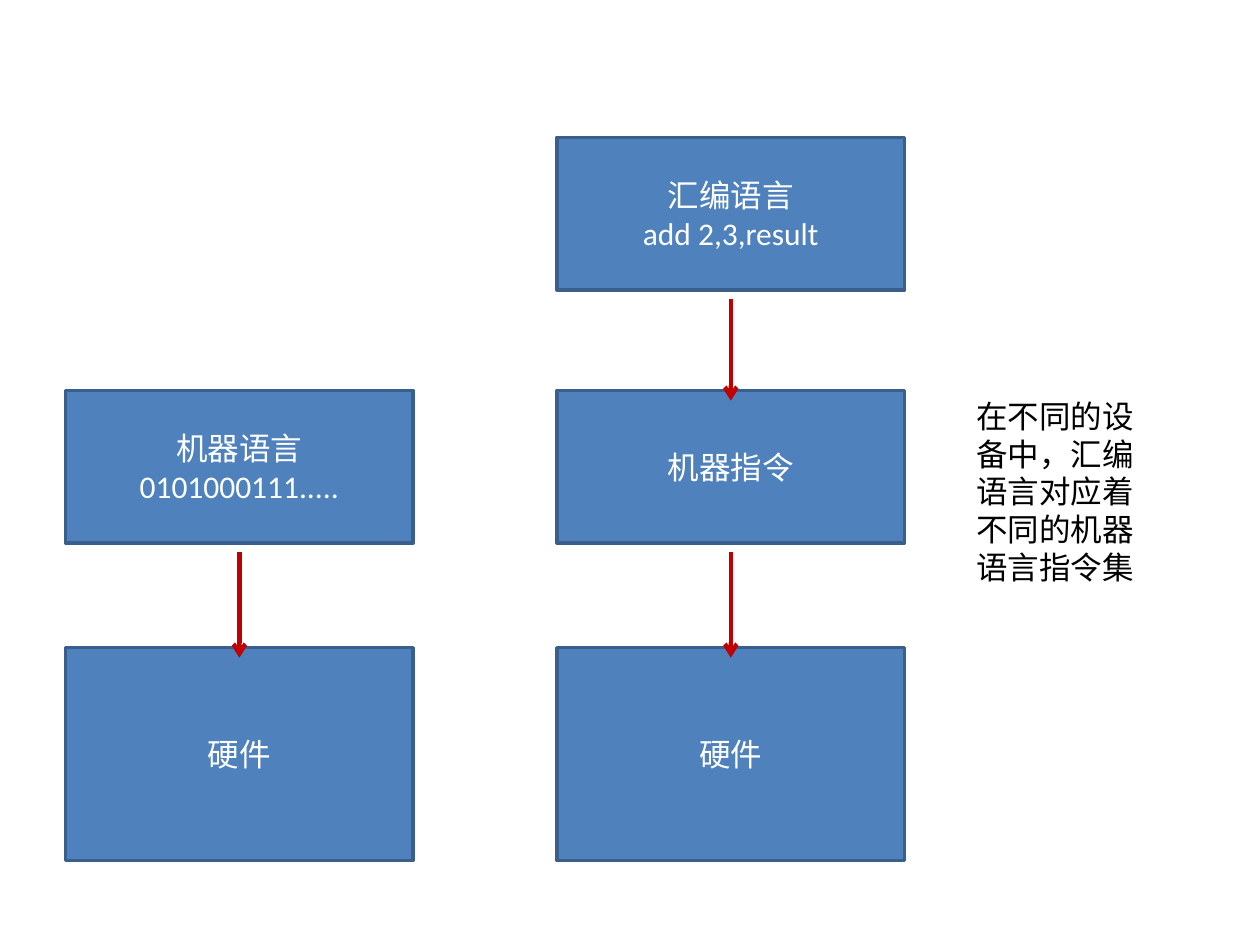
from lxml.etree import SubElement
from pptx import Presentation
from pptx.dml.color import RGBColor
from pptx.enum.shapes import MSO_CONNECTOR, MSO_SHAPE
from pptx.enum.text import MSO_ANCHOR, MSO_AUTO_SIZE, PP_ALIGN
from pptx.oxml.ns import qn
from pptx.util import Inches, Pt

WIDTH, HEIGHT = 10, 7.5

# Column left edges and row (top, height) pairs, in inches
MACHINE_COLUMN, ASSEMBLY_COLUMN, NOTE_COLUMN = 0.52, 4.42, 7.65
TOP_ROW, MIDDLE_ROW, HARDWARE_ROW = (1.09, 1.21), (3.1, 1.21), (5.14, 1.69)
BOX_WIDTH = 2.76


def color(hex_string):
    return RGBColor.from_string(hex_string)


class LayerDiagram:
    font_name, font_size = "Calibri", Pt(18)
    box_fill, box_line, box_text = "4F81BD", "3A5F8C", "FFFFFF"
    arrow_color, note_color = "C00000", "000000"

    def __init__(self, slide):
        self.slide = slide

    def set_text(self, frame, lines, text_color, alignment):
        frame.word_wrap = True
        frame.text = "\n".join(lines)
        for paragraph in frame.paragraphs:
            paragraph.alignment = alignment
            paragraph.font.name = self.font_name
            paragraph.font.size = self.font_size
            paragraph.font.color.rgb = color(text_color)

    def box(self, column, row, *lines):
        top, height = row
        shape = self.slide.shapes.add_shape(
            MSO_SHAPE.RECTANGLE, Inches(column), Inches(top), Inches(BOX_WIDTH), Inches(height))
        shape.shadow.inherit = False
        shape.fill.solid()
        shape.fill.fore_color.rgb = color(self.box_fill)
        shape.line.color.rgb = color(self.box_line)
        shape.line.width = Pt(2)
        shape.text_frame.vertical_anchor = MSO_ANCHOR.MIDDLE
        self.set_text(shape.text_frame, lines, self.box_text, PP_ALIGN.CENTER)

    def arrow(self, column, upper_row, lower_row):
        """Point from just below the upper box to just inside the lower one."""
        center = Inches(column + BOX_WIDTH / 2)
        start, end = sum(upper_row) + 0.07, lower_row[0] + 0.08
        connector = self.slide.shapes.add_connector(
            MSO_CONNECTOR.STRAIGHT, center, Inches(start), center, Inches(end))
        connector.line.color.rgb = color(self.arrow_color)
        connector.line.width = Pt(2.5)
        properties = connector._element.spPr
        SubElement(properties.find(qn("a:ln")), qn("a:tailEnd"), type="arrow")
        SubElement(properties, qn("a:effectLst"))

    def note(self, column, top, width, height, text):
        text_box = self.slide.shapes.add_textbox(
            Inches(column), Inches(top), Inches(width), Inches(height))
        self.set_text(text_box.text_frame, [text], self.note_color, PP_ALIGN.LEFT)
        text_box.text_frame.auto_size = MSO_AUTO_SIZE.SHAPE_TO_FIT_TEXT


def main():
    presentation = Presentation()
    presentation.slide_width, presentation.slide_height = Inches(WIDTH), Inches(HEIGHT)
    diagram = LayerDiagram(presentation.slides.add_slide(presentation.slide_layouts[6]))

    stacks = [
        (MACHINE_COLUMN, [(MIDDLE_ROW, "机器语言", "0101000111....."),
                          (HARDWARE_ROW, "硬件")]),
        (ASSEMBLY_COLUMN, [(TOP_ROW, "汇编语言", "add 2,3,result"),
                           (MIDDLE_ROW, "机器指令"),
                           (HARDWARE_ROW, "硬件")]),
    ]
    for column, layers in stacks:
        for row, *lines in layers:
            diagram.box(column, row, *lines)
        for upper, lower in zip(layers, layers[1:]):
            diagram.arrow(column, upper[0], lower[0])

    diagram.note(NOTE_COLUMN, MIDDLE_ROW[0], 1.53, 1.6,
                 "在不同的设备中，汇编语言对应着不同的机器语言指令集")
    presentation.save("out.pptx")


if __name__ == "__main__":
    main()
